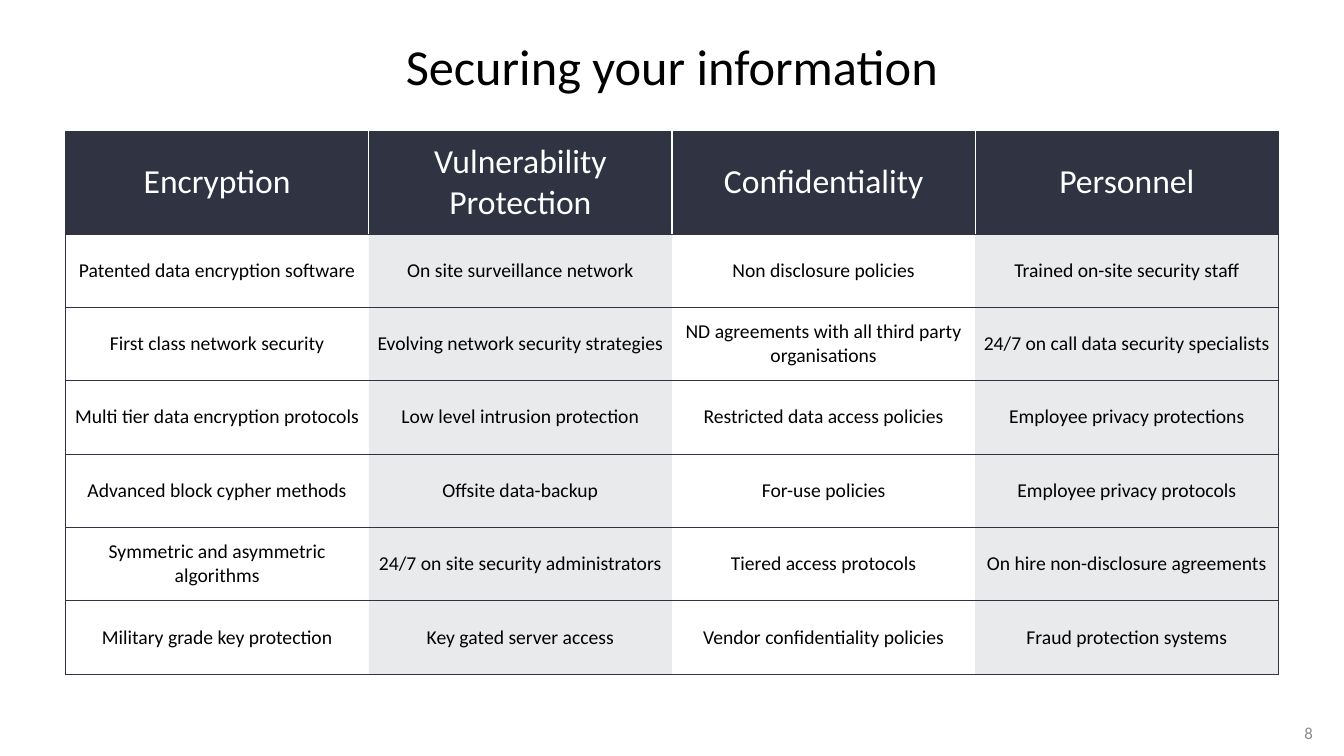
"""Build the slide "Securing your information" with its table of measures."""
import pptx
import pptx.util
import pptx.dml.color
import pptx.enum.text
import pptx.oxml.ns
import lxml.etree

Inches, Pt = pptx.util.Inches, pptx.util.Pt
RGBColor = pptx.dml.color.RGBColor
PP_ALIGN = pptx.enum.text.PP_ALIGN
MIDDLE = pptx.enum.text.MSO_ANCHOR.MIDDLE
qn = pptx.oxml.ns.qn

NAVY = RGBColor(0x2F, 0x33, 0x42)
WHITE = RGBColor(0xFF, 0xFF, 0xFF)
BLACK = RGBColor(0, 0, 0)
GREY = RGBColor(0x8C, 0x8C, 0x8C)

LEFT, TOP, WIDTH, HEIGHT = 0.65, 1.3, 12.03, 5.39
HEADER_HEIGHT = 1.02
ROWS = [
    ["Encryption", "Vulnerability Protection", "Confidentiality", "Personnel"],
    ["Patented data encryption software", "On site surveillance network",
     "Non disclosure policies", "Trained on-site security staff"],
    ["First class network security", "Evolving network security strategies",
     "ND agreements with all third party organisations",
     "24/7 on call data security specialists"],
    ["Multi tier data encryption protocols", "Low level intrusion protection",
     "Restricted data access policies", "Employee privacy protections"],
    ["Advanced block cypher methods", "Offsite data-backup",
     "For-use policies", "Employee privacy protocols"],
    ["Symmetric and asymmetric algorithms", "24/7 on site security administrators",
     "Tiered access protocols", "On hire non-disclosure agreements"],
    ["Military grade key protection", "Key gated server access",
     "Vendor confidentiality policies", "Fraud protection systems"],
]


def write(tf, text, size, color, align):
    tf.text = text
    p = tf.paragraphs[0]
    p.alignment = align
    font = p.runs[0].font
    font.name, font.size, font.color.rgb = "Calibri", Pt(size), color


def add_border(cell, side, color, width):
    tcPr = cell._tc.get_or_add_tcPr()
    ln = lxml.etree.SubElement(tcPr, qn("a:ln" + side), w=str(Pt(width)))
    if color is None:
        lxml.etree.SubElement(ln, qn("a:noFill"))
    else:
        fill = lxml.etree.SubElement(ln, qn("a:solidFill"))
        lxml.etree.SubElement(fill, qn("a:srgbClr"), val=str(color))


prs = pptx.Presentation()
prs.slide_width, prs.slide_height = Inches(13.33), Inches(7.5)
s = prs.slides.add_slide(prs.slide_layouts[5])

title = s.shapes.title
title.left, title.top = Inches(LEFT), Inches(0)
title.width, title.height = Inches(WIDTH), Inches(1.3)
title.text_frame.vertical_anchor = MIDDLE
write(title.text_frame, "Securing your information", 36, BLACK, PP_ALIGN.CENTER)

columns = len(ROWS[0])
table = s.shapes.add_table(len(ROWS), columns, Inches(LEFT), Inches(TOP),
                           Inches(WIDTH), Inches(HEIGHT)).table
table.horz_banding = False
table.first_row = False
for column in table.columns:
    column.width = Inches(WIDTH / columns)
for i, row in enumerate(table.rows):
    header = i == 0
    row.height = Inches(HEADER_HEIGHT if header
                        else (HEIGHT - HEADER_HEIGHT) / (len(ROWS) - 1))
    inner = (WHITE, 1) if header else (None, 0.5)
    for j, cell in enumerate(row.cells):
        write(cell.text_frame, ROWS[i][j], 24 if header else 14,
              WHITE if header else BLACK, PP_ALIGN.CENTER)
        cell.vertical_anchor = MIDDLE
        cell.margin_left = cell.margin_right = Inches(0.07)
        cell.margin_top = cell.margin_bottom = Inches(0.04)
        add_border(cell, "L", *((NAVY, 0.5) if j == 0 else inner))
        add_border(cell, "R", *((NAVY, 0.5) if j == columns - 1 else inner))
        add_border(cell, "T", NAVY, 0.5)
        add_border(cell, "B", NAVY, 0.5)
        if header or j % 2:
            cell.fill.solid()
            cell.fill.fore_color.rgb = NAVY
            if not header:
                clr = cell._tc.tcPr.find(qn("a:solidFill")).find(qn("a:srgbClr"))
                lxml.etree.SubElement(clr, qn("a:alpha"), val="10000")
        else:
            cell.fill.background()

number = s.shapes.add_textbox(Inches(12.63), Inches(7.07), Inches(0.49), Inches(0.4))
tf = number.text_frame
tf.word_wrap = True
tf.vertical_anchor = MIDDLE
write(tf, "8", 12, GREY, PP_ALIGN.RIGHT)

prs.save("out.pptx")
